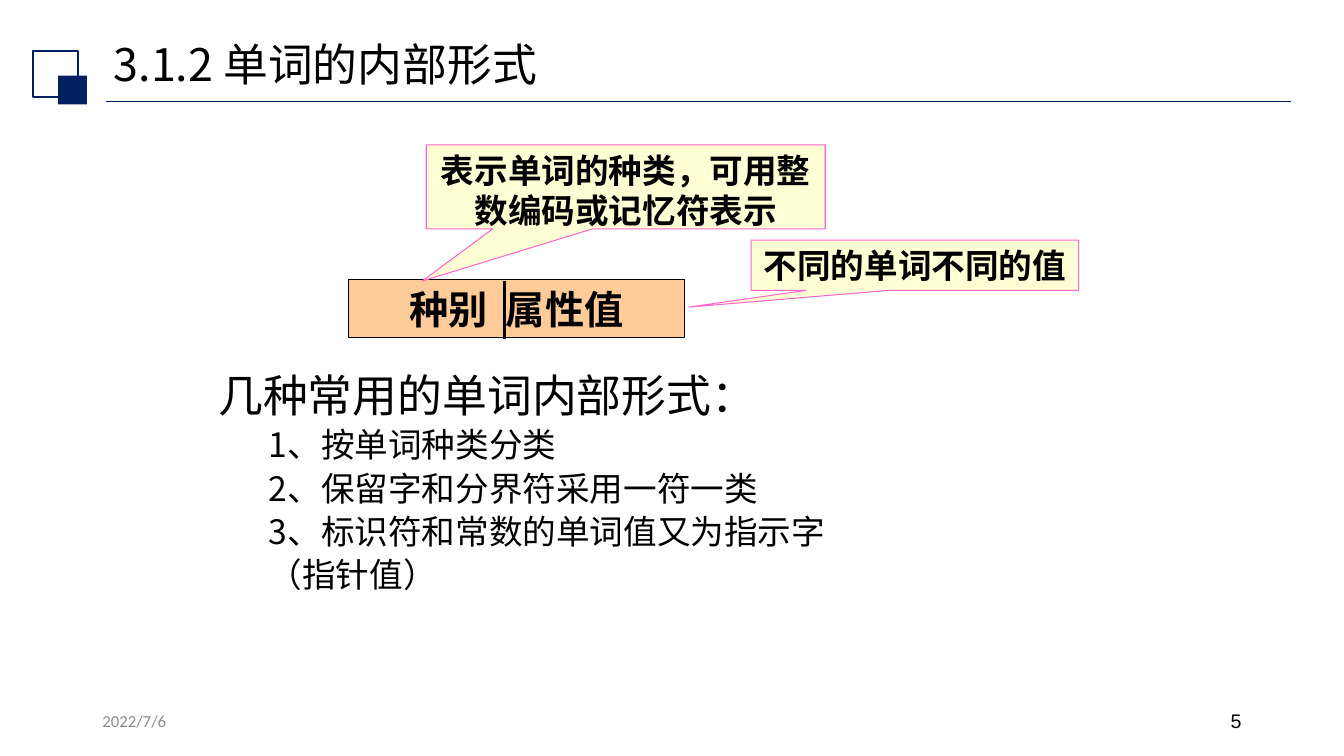
import pptx
import pptx.util
import pptx.dml.color
import pptx.enum.shapes
import pptx.enum.text
import pptx.oxml
import lxml.etree

Pt = pptx.util.Pt
RGBColor = pptx.dml.color.RGBColor
Shape = pptx.enum.shapes.MSO_SHAPE
Align = pptx.enum.text.PP_ALIGN
Anchor = pptx.enum.text.MSO_ANCHOR

NAVY = RGBColor(0x00, 0x20, 0x60)
BLACK = RGBColor(0x00, 0x00, 0x00)
GRAY = RGBColor(0x8C, 0x8C, 0x8C)
ORANGE = RGBColor(0xFF, 0xCC, 0x99)
CREAM = RGBColor(0xFF, 0xFF, 0xD5)
PINK = RGBColor(0xFF, 0x66, 0xCC)
SANS = "Noto Sans CJK SC"
SERIF = "Times New Roman"


def format_paragraph(paragraph, size, font_name, color=BLACK, bold=False, align=Align.LEFT):
    paragraph.alignment = align
    paragraph.font.size = Pt(size)
    paragraph.font.name = font_name
    paragraph.font.color.rgb = color
    paragraph.font.bold = bold


def place(shape, left, top, width, height):
    shape.left, shape.top = Pt(left), Pt(top)
    shape.width, shape.height = Pt(width), Pt(height)


def add_box(shapes, kind, box, fill, line, line_width):
    shape = shapes.add_shape(kind, *map(Pt, box))
    shape.shadow.inherit = False
    if fill is None:
        shape.fill.background()
    else:
        shape.fill.solid()
        shape.fill.fore_color.rgb = fill
    if line is None:
        shape.line.fill.background()
    else:
        shape.line.color.rgb = line
        shape.line.width = Pt(line_width)
    return shape


def add_line(slide, start, end, color, width):
    connector = slide.shapes.add_connector(
        pptx.enum.shapes.MSO_CONNECTOR.STRAIGHT, *map(Pt, start + end))
    connector.line.color.rgb = color
    connector.line.width = Pt(width)
    lxml.etree.SubElement(connector.element.spPr, pptx.oxml.ns.qn("a:effectLst"))


def add_heading(slide, left, top, width, text):
    group = slide.shapes.add_group_shape()
    add_box(group.shapes, Shape.RECTANGLE, (left, top + 12, 32.5, 32.5), None, NAVY, 1.5)
    add_box(group.shapes, Shape.RECTANGLE, (left + 18, top + 29.5, 20.5, 20.5), NAVY, None, 0)
    add_line(slide, (left + 52, top + 48), (left + width, top + 48), NAVY, 1.25)
    title = slide.shapes.title
    place(title, left + 50.5, top, 828, 44)
    title.text_frame.text = text
    title.text_frame.vertical_anchor = Anchor.BOTTOM
    paragraph = title.text_frame.paragraphs[0]
    format_paragraph(paragraph, 32, SANS)
    paragraph.line_spacing = 0.9


def add_word_record(slide, left, top, width, height):
    record = add_box(slide.shapes, Shape.RECTANGLE, (left, top, width, height), ORANGE, BLACK, 0)
    record.text_frame.text = "种别  属性值"
    format_paragraph(record.text_frame.paragraphs[0], 28, SANS, bold=True, align=Align.CENTER)
    divider = left + 111.5
    add_line(slide, (divider, top + 1), (divider, top + height + 1), BLACK, 0)


def add_callout(slide, box, tip, text):
    callout = add_box(slide.shapes, Shape.RECTANGULAR_CALLOUT, box, CREAM, PINK, 0.75)
    callout.adjustments[0], callout.adjustments[1] = tip
    frame = callout.text_frame
    frame.word_wrap = True
    frame.vertical_anchor = Anchor.TOP
    frame.text = text
    format_paragraph(frame.paragraphs[0], 24, SERIF, bold=True, align=Align.CENTER)


def add_forms_list(slide, left, top, width, height, heading, items):
    body = slide.placeholders[1]
    place(body, left, top, width, height)
    frame = body.text_frame
    frame.margin_left = frame.margin_right = frame.margin_top = frame.margin_bottom = 0
    frame.vertical_anchor = Anchor.TOP
    frame.auto_size = pptx.enum.text.MSO_AUTO_SIZE.NONE
    frame.text = "\n".join([heading] + items)
    for index, paragraph in enumerate(frame.paragraphs):
        paragraph.level = min(index, 1)
        paragraph.line_spacing = 1.07
        paragraph.space_before = Pt(0)
        format_paragraph(paragraph, 24 if index else 32, SANS)
        properties = paragraph._p.get_or_add_pPr()
        properties.set("marL", str(Pt(36) if index else 0))
        properties.set("indent", "0")
        bullet = lxml.etree.Element(pptx.oxml.ns.qn("a:buNone"))
        properties.find(pptx.oxml.ns.qn("a:defRPr")).addprevious(bullet)


def add_footer(slide, box, text, size, font_name, color, align):
    footer = slide.shapes.add_textbox(*map(Pt, box))
    footer.text_frame.word_wrap = True
    footer.text_frame.vertical_anchor = Anchor.MIDDLE
    footer.text_frame.text = text
    format_paragraph(footer.text_frame.paragraphs[0], size, font_name, color, align=align)


def main():
    presentation = pptx.Presentation()
    presentation.slide_width, presentation.slide_height = Pt(960), Pt(540)
    slide = presentation.slides.add_slide(presentation.slide_layouts[1])
    add_heading(slide, 23.5, 24.5, 899, "3.1.2 单词的内部形式")
    add_forms_list(slide, 156, 260, 600, 230, "几种常用的单词内部形式：", [
        "1、按单词种类分类",
        "2、保留字和分界符采用一符一类",
        "3、标识符和常数的单词值又为指示字",
        "（指针值）",
    ])
    add_word_record(slide, 249, 200, 240, 41)
    add_callout(slide, (304.5, 103.5, 285, 60), (-0.51, 1.12),
                "表示单词的种类，可用整数编码或记忆符表示")
    add_callout(slide, (536.5, 171.5, 234, 36), (-0.69, 0.83), "不同的单词不同的值")
    add_footer(slide, (66, 500, 216, 29), "2022/7/6", 12, "Calibri", GRAY, Align.LEFT)
    add_footer(slide, (678, 500, 216, 29), "5", 14, "Arial", BLACK, Align.RIGHT)
    presentation.save("out.pptx")


if __name__ == "__main__":
    main()
